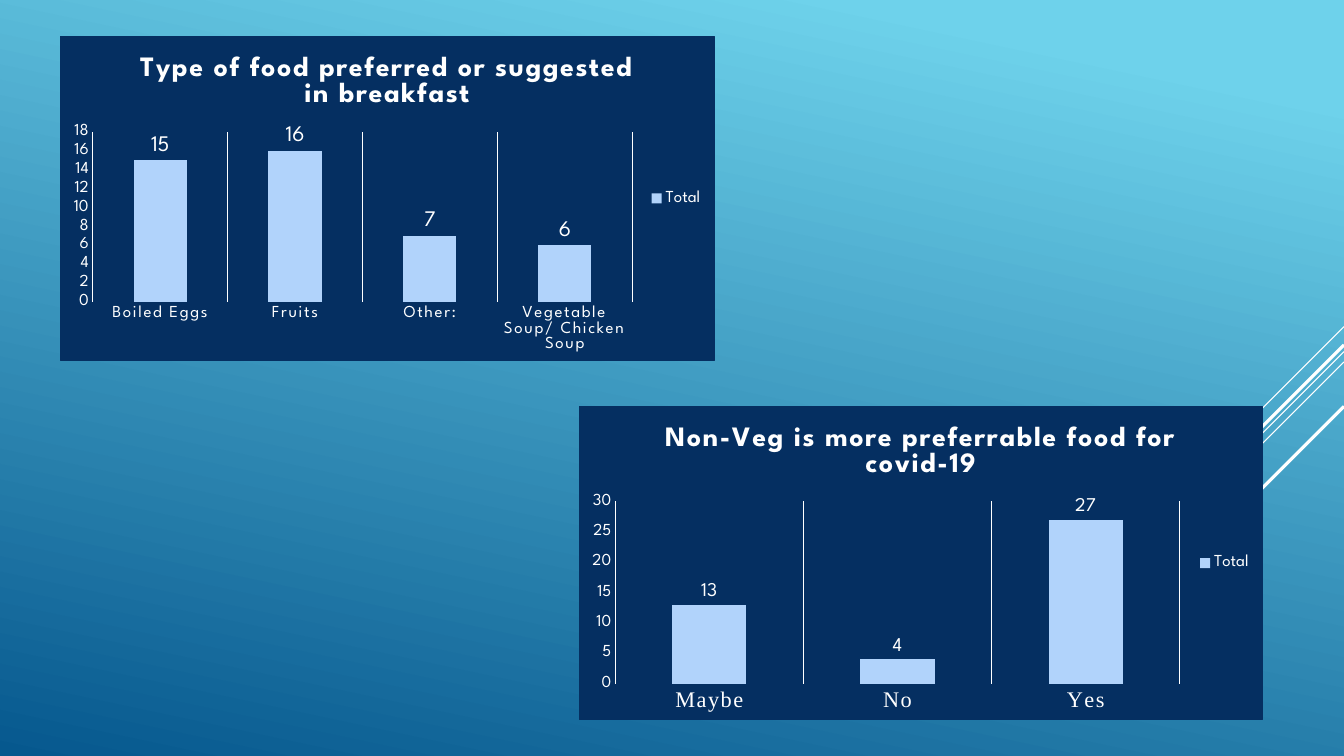
from dataclasses import dataclass

from pptx import Presentation
from pptx.chart.data import CategoryChartData
from pptx.dml.color import RGBColor
from pptx.enum.chart import XL_CHART_TYPE, XL_LABEL_POSITION, XL_LEGEND_POSITION, XL_TICK_MARK
from pptx.oxml import parse_xml
from pptx.oxml.ns import nsdecls
from pptx.oxml.xmlchemy import OxmlElement
from pptx.util import Cm, Pt

SLIDE_WIDTH, SLIDE_HEIGHT = 33.87, 19.05


@dataclass(frozen=True)
class Theme:
    sky: str = "6ED2EB"
    ocean: str = "06588E"
    navy: str = "052F61"
    bar: str = "B1D3FB"
    white: str = "FFFFFF"
    font: str = "League Spartan"
    serif: str = "Times New Roman"
    title_size: int = 20
    text_size: int = 12
    base_size: int = 10
    hairline: float = 0.75
    title_spacing: int = 100
    category_spacing: int = 120


class SlideBuilder:
    def __init__(self, slide, theme):
        self.slide = slide
        self.theme = theme

    def background(self):
        fill = self.slide.background.fill
        fill.gradient()
        fill.gradient_angle = 258
        stops = zip(fill.gradient_stops, (0.1, 1), (self.theme.sky, self.theme.ocean))
        for stop, position, color in stops:
            stop.position = position
            stop.color.rgb = RGBColor.from_string(color)

    def diagonal(self, top, length, width):
        """Draw a 45 degree line down and left from the right edge."""
        line = self.slide.shapes.add_connector(
            1, Cm(SLIDE_WIDTH), Cm(top), Cm(SLIDE_WIDTH - length), Cm(top + length))
        self.style_line(line.line, width)
        line._element.spPr.append(OxmlElement("a:effectLst"))

    def style_line(self, line, width):
        line.color.rgb = RGBColor.from_string(self.theme.white)
        line.width = Pt(width)

    def style_font(self, font, size, name=None, bold=False):
        font.name = name or self.theme.font
        font.size = Pt(size)
        font.bold = bold
        font.color.rgb = RGBColor.from_string(self.theme.white)

    def space_letters(self, element, spacing):
        for properties in element.xpath(".//a:defRPr"):
            properties.set("spc", str(spacing))

    def column_chart(self, title, values, box, plot_box, scale, label_size,
                     category_font, category_size):
        theme = self.theme
        data = CategoryChartData()
        data.categories = list(values)
        data.add_series("Total", list(values.values()))
        chart = self.slide.shapes.add_chart(
            XL_CHART_TYPE.COLUMN_CLUSTERED, *map(Cm, box), data).chart
        self.style_font(chart.font, theme.base_size)
        self.chart_panel(chart, plot_box)

        # Title and legend
        chart.has_title = True
        text_frame = chart.chart_title.text_frame
        text_frame.text = title
        paragraph = text_frame.paragraphs[0]
        self.style_font(paragraph.font, theme.title_size, bold=True)
        self.space_letters(paragraph._p, theme.title_spacing)
        chart.chart_title.include_in_layout = False
        chart.has_legend = True
        chart.legend.position = XL_LEGEND_POSITION.RIGHT
        chart.legend.include_in_layout = False
        self.style_font(chart.legend.font, theme.text_size)

        # Axes
        category_axis, value_axis = chart.category_axis, chart.value_axis
        for axis in (category_axis, value_axis):
            axis.major_tick_mark = axis.minor_tick_mark = XL_TICK_MARK.NONE
            axis.format.line.fill.background()
        category_axis.has_major_gridlines = True
        self.style_line(category_axis.major_gridlines.format.line, theme.hairline)
        self.style_font(category_axis.tick_labels.font, category_size, category_font)
        self.space_letters(category_axis._element, theme.category_spacing)
        value_axis.has_major_gridlines = False
        value_axis.minimum_scale = 0
        value_axis.maximum_scale, value_axis.major_unit = scale
        self.style_font(value_axis.tick_labels.font, theme.text_size)

        # Columns and their values
        plot = chart.plots[0]
        plot.gap_width = 154
        plot.vary_by_categories = False
        series_fill = plot.series[0].format.fill
        series_fill.solid()
        series_fill.fore_color.rgb = RGBColor.from_string(theme.bar)
        plot.has_data_labels = True
        labels = plot.data_labels
        labels.show_value = True
        labels.position = XL_LABEL_POSITION.OUTSIDE_END
        self.style_font(labels.font, label_size)

    def chart_panel(self, chart, plot_box):
        """Fill the chart area and fix the inner plot area as chart fractions."""
        paint = f'<a:solidFill><a:srgbClr val="{self.theme.navy}"/></a:solidFill>'
        panel = parse_xml(
            f'<c:spPr {nsdecls("c", "a")}>{paint}'
            f'<a:ln w="{Pt(self.theme.hairline)}">{paint}</a:ln></c:spPr>')
        chart._chartSpace.xpath("c:txPr")[0].addprevious(panel)

        edges = "".join(f'<c:{side}Mode val="edge"/>' for side in "xy")
        sizes = "".join(f'<c:{side} val="{value}"/>' for side, value in zip("xywh", plot_box))
        layout = parse_xml(
            f'<c:layout {nsdecls("c")}><c:manualLayout><c:layoutTarget val="inner"/>'
            f'{edges}{sizes}</c:manualLayout></c:layout>')
        plot_area = chart._chartSpace.xpath("c:chart/c:plotArea")[0]
        for automatic in plot_area.xpath("c:layout"):
            plot_area.remove(automatic)
        plot_area.insert(0, layout)


def main():
    presentation = Presentation()
    presentation.slide_width = Cm(SLIDE_WIDTH)
    presentation.slide_height = Cm(SLIDE_HEIGHT)
    theme = Theme()
    builder = SlideBuilder(presentation.slides.add_slide(presentation.slide_layouts[6]), theme)

    # Backdrop with diagonal lines: top, length, width
    builder.background()
    for top, length, width in (
        (8.23, 2.54, 0.75),
        (8.86, 8.28, 0.75),
        (9.12, 5.27, 0.75),
        (8.69, 4.85, 2.25),
        (10.24, 3.53, 2.25),
    ):
        builder.diagonal(top, length, width)

    # Breakfast preferences
    builder.column_chart(
        "Type of food preferred or suggested in breakfast",
        {"Boiled Eggs": 15, "Fruits": 16, "Other:": 7, "Vegetable Soup/ Chicken Soup": 6},
        box=(1.5, 0.91, 16.51, 8.18), plot_box=(0.05, 0.295, 0.825, 0.525),
        scale=(18, 2), label_size=16,
        category_font=theme.font, category_size=theme.text_size)

    # Opinion on non-vegetarian food
    builder.column_chart(
        "Non-Veg is more preferrable food for covid-19",
        {"Maybe": 13, "No": 4, "Yes": 27},
        box=(14.58, 10.24, 17.25, 7.9), plot_box=(0.053, 0.303, 0.826, 0.583),
        scale=(30, 5), label_size=14,
        category_font=theme.serif, category_size=16)

    presentation.save("out.pptx")


if __name__ == "__main__":
    main()
